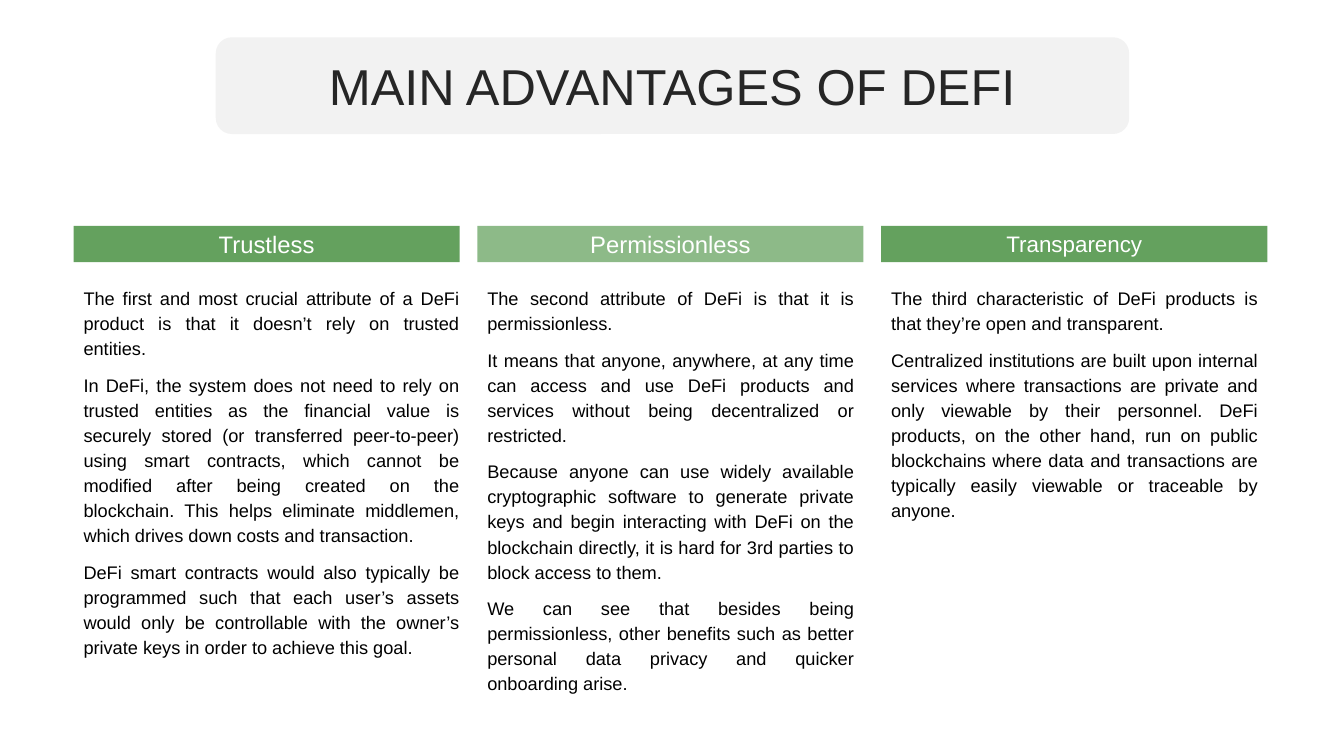
from pptx import Presentation
from pptx.dml.color import RGBColor
from pptx.enum.shapes import MSO_SHAPE as Shape
from pptx.enum.text import MSO_ANCHOR as Anchor, MSO_AUTO_SIZE as AutoSize, PP_ALIGN as Align
from pptx.util import Inches, Pt

GREEN = RGBColor(0x64, 0xA1, 0x5E)
LIGHT_GREEN = RGBColor(0x8D, 0xBA, 0x88)
PALE_GRAY = RGBColor(0xF2, 0xF2, 0xF2)
DARK_GRAY = RGBColor(0x26, 0x26, 0x26)
WHITE = RGBColor(0xFF, 0xFF, 0xFF)
BLACK = RGBColor(0x00, 0x00, 0x00)
FONT = "Arial"

# heading, heading size, heading fill, text width, text height, paragraphs
ADVANTAGES = [
    ("Trustless", 17, GREEN, 3.92, 3.68, [
        "The first and most crucial attribute of a DeFi product is that it doesn’t rely on "
        "trusted entities.",
        "In DeFi, the system does not need to rely on trusted entities as the financial value is "
        "securely stored (or transferred peer-to-peer) using smart contracts, which cannot be "
        "modified after being created on the blockchain. This helps eliminate middlemen, which "
        "drives down costs and transaction.",
        "DeFi smart contracts would also typically be programmed such that each user’s assets "
        "would only be controllable with the owner’s private keys in order to achieve this goal.",
    ]),
    ("Permissionless", 17, LIGHT_GREEN, 3.83, 4.03, [
        "The second attribute of DeFi is that it is permissionless.",
        "It means that anyone, anywhere, at any time can access and use DeFi products and "
        "services without being decentralized or restricted.",
        "Because anyone can use widely available cryptographic software to generate private keys "
        "and begin interacting with DeFi on the blockchain directly, it is hard for 3rd parties "
        "to block access to them.",
        "We can see that besides being permissionless, other benefits such as better personal "
        "data privacy and quicker onboarding arise.",
    ]),
    ("Transparency", 16, GREEN, 3.83, 2.73, [
        "The third characteristic of DeFi products is that they’re open and transparent.",
        "Centralized institutions are built upon internal services where transactions are private "
        "and only viewable by their personnel. DeFi products, on the other hand, run on public "
        "blockchains where data and transactions are typically easily viewable or traceable by "
        "anyone.",
    ]),
]


def style_paragraph(para, size, color, align):
    para.alignment = align
    for span in para.runs:
        span.font.name = FONT
        span.font.size = Pt(size)
        span.font.color.rgb = color


def add_label(page, kind, box, fill, text, size, color):
    """Add a filled shape with one centred line of text."""
    shape = page.shapes.add_shape(kind, *map(Inches, box))
    shape.shadow.inherit = False
    shape.fill.solid()
    shape.fill.fore_color.rgb = fill
    shape.line.fill.background()
    frame = shape.text_frame
    frame.vertical_anchor = Anchor.MIDDLE
    frame.text = text
    style_paragraph(frame.paragraphs[0], size, color, Align.CENTER)
    return shape


def add_heading(page, box, fill, text, size):
    bar = add_label(page, Shape.RECTANGLE, box, fill, text, size, WHITE)
    frame = bar.text_frame
    frame.margin_left = frame.margin_right = Inches(0.13)
    frame.margin_top = frame.margin_bottom = Inches(0.07)


def add_body(page, box, texts):
    frame = page.shapes.add_textbox(*map(Inches, box)).text_frame
    frame.word_wrap = True
    frame.auto_size = AutoSize.SHAPE_TO_FIT_TEXT
    for index, text in enumerate(texts):
        para = frame.add_paragraph() if index else frame.paragraphs[0]
        para.text = text
        para.line_spacing = 1.15
        para.space_after = Pt(8)
        style_paragraph(para, 13, BLACK, Align.JUSTIFY)


def add_columns(page, left, top, width):
    """Spread the advantages over equal columns, each a heading bar above its text."""
    bar_width, bar_height, body_offset = 3.83, 0.36, 0.53
    pitch = (width - bar_width) / (len(ADVANTAGES) - 1)
    for index, advantage in enumerate(ADVANTAGES):
        heading, size, fill, body_width, body_height, texts = advantage
        x = left + index * pitch
        add_heading(page, (x, top, bar_width, bar_height), fill, heading, size)
        add_body(page, (x, top + body_offset, body_width, body_height), texts)


def main():
    deck = Presentation()
    deck.slide_width, deck.slide_height = Inches(13.33), Inches(7.5)
    page = deck.slides.add_slide(deck.slide_layouts[6])
    add_label(page, Shape.ROUNDED_RECTANGLE, (2.14, 0.37, 9.06, 0.96), PALE_GRAY,
              "MAIN ADVANTAGES OF DEFI", 36, DARK_GRAY)
    add_columns(page, 0.73, 2.24, 11.84)
    deck.save("out.pptx")


if __name__ == "__main__":
    main()
